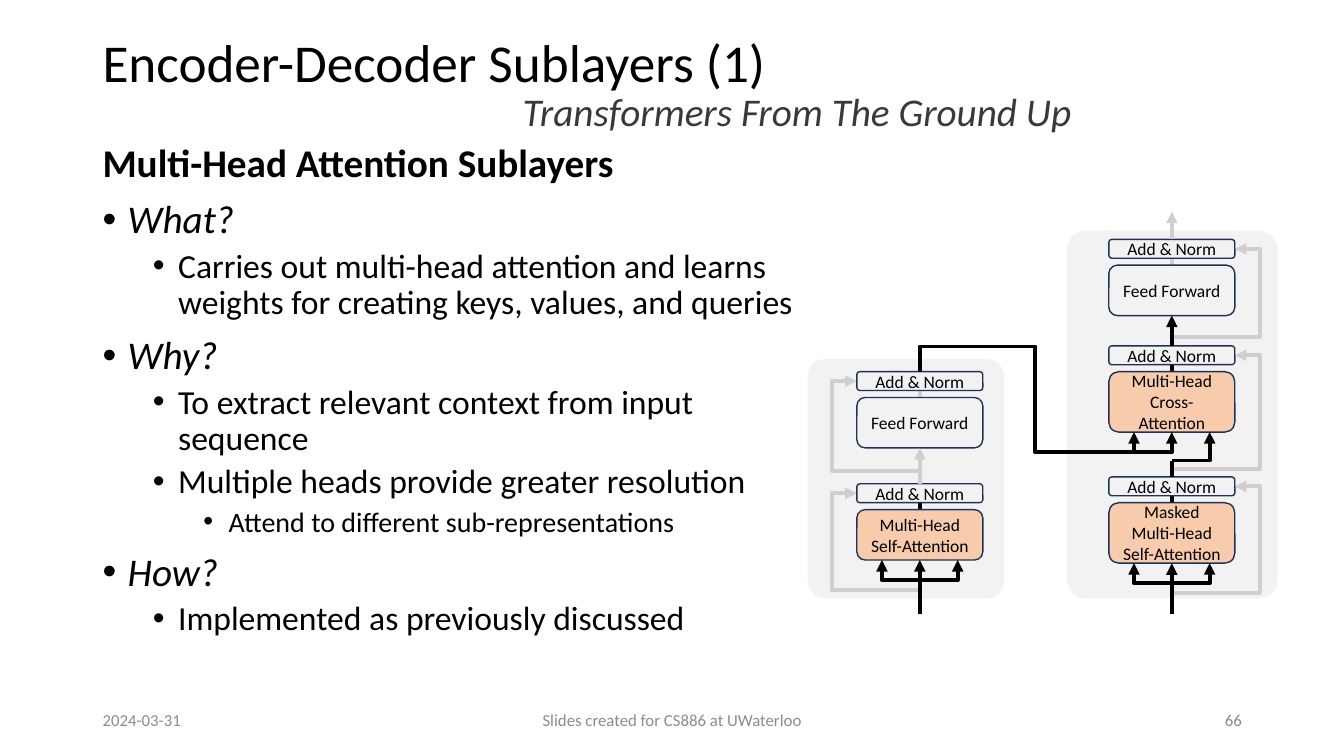
from collections import namedtuple
from dataclasses import dataclass

import pptx
import pptx.dml.color
import pptx.enum.shapes
import pptx.enum.text
import pptx.oxml
import pptx.oxml.ns
import pptx.util
from lxml import etree

# One grid cell is a sixteenth of an inch; all boxes and points count cells.
CELL = pptx.util.Inches(1 / 16)
COLS, ROWS = 213.33, 120

Box = namedtuple("Box", "x y w h")
Sublayer = namedtuple("Sublayer", "top label rows loop_drop focus")
ALIGN = pptx.enum.text.PP_ALIGN
ANCHOR = pptx.enum.text.MSO_ANCHOR
SHAPE = pptx.enum.shapes.MSO_SHAPE
CONNECTOR = pptx.enum.shapes.MSO_CONNECTOR


@dataclass(frozen=True)
class Theme:
    font: str = "Calibri"
    ink: str = "000000"
    subtitle: str = "3B3838"
    muted: str = "8C8C8C"
    panel: str = "E7E6E6"
    block: str = "F2F2F2"
    focus: str = "F8CBAD"
    border: str = "1E3256"
    faint: str = "D0CECE"
    title_size: float = 38
    level_sizes: tuple = (28, 24, 20)
    footer_size: float = 12
    block_size: float = 12.5
    flow_width: float = 2.75


T = Theme()

NORM_ROWS, BLOCK_DROP, BLOCK_COLS = 3, 4.1, 20
PRONG, BUS_DROP, LOOP_OUT = 6, 3.2, 4

ENCODER = Box(128.2, 57, 31.2, 38)
ENCODER_LAYERS = [
    Sublayer(2, "Feed Forward", 8, 3.7, False),
    Sublayer(19.8, "Multi-Head Self-Attention", 8, 4.8, True),
]
DECODER = Box(169.4, 36.6, 33.4, 58.4)
DECODER_LAYERS = [
    Sublayer(1.4, "Feed Forward", 8, 3.4, False),
    Sublayer(18.3, "Multi-Head Cross-Attention", 9.6, 5.8, True),
    Sublayer(39.1, "Masked Multi-Head Self-Attention", 9.6, 4.7, True),
]

BODY = [
    (0, "What?"),
    (1, "Carries out multi-head attention and learns weights for creating "
        "keys, values, and queries"),
    (0, "Why?"),
    (1, "To extract relevant context from input sequence"),
    (1, "Multiple heads provide greater resolution"),
    (2, "Attend to different sub-representations"),
    (0, "How?"),
    (1, "Implemented as previously discussed"),
]


def emu(*cells):
    return [round(c * CELL) for c in cells]


def rgb(color):
    return pptx.dml.color.RGBColor.from_string(color)


def add_run(p, text, size, color=T.ink, bold=False, italic=False):
    r = p.add_run()
    r.text = text
    r.font.name, r.font.size = T.font, pptx.util.Pt(size)
    r.font.bold, r.font.italic = bold, italic
    r.font.color.rgb = rgb(color)


def text_frame(s, box, anchor=ANCHOR.MIDDLE):
    tf = s.shapes.add_textbox(*emu(*box)).text_frame
    tf.word_wrap, tf.vertical_anchor = True, anchor
    return tf


def text_line(s, box, text, size, color, align=ALIGN.LEFT, italic=False):
    p = text_frame(s, box).paragraphs[0]
    p.alignment, p.line_spacing = align, 0.9
    add_run(p, text, size, color, italic=italic)


def add_body(s, box):
    tf = text_frame(s, box, ANCHOR.TOP)
    p = tf.paragraphs[0]
    p.line_spacing = 0.9
    add_run(p, "Multi-Head Attention Sublayers", T.level_sizes[0], bold=True)
    for level, text in BODY:
        p = tf.add_paragraph()
        pPr = p._p.get_or_add_pPr()
        pPr.set("marL", str(pptx.util.Inches(0.25 + 0.5 * level)))
        pPr.set("indent", str(pptx.util.Inches(-0.25)))
        font = etree.SubElement(pPr, pptx.oxml.ns.qn("a:buFont"))
        font.set("typeface", "Arial")
        etree.SubElement(pPr, pptx.oxml.ns.qn("a:buChar")).set("char", "•")
        p.level, p.line_spacing = level, 0.9
        p.space_before = pptx.util.Pt(5 if level else 10)
        add_run(p, text, T.level_sizes[level], italic=level == 0)


def rounded(s, box, fill):
    sp = s.shapes.add_shape(SHAPE.ROUNDED_RECTANGLE, *emu(*box))
    sp.shadow.inherit = False
    sp.fill.solid()
    sp.fill.fore_color.rgb = rgb(fill)
    return sp


def add_panel(s, box):
    sp = rounded(s, box, T.panel)
    sp.adjustments[0] = 0.088
    sp.line.fill.background()
    color = sp._element.spPr.find(".//" + pptx.oxml.ns.qn("a:srgbClr"))
    etree.SubElement(color, pptx.oxml.ns.qn("a:alpha")).set("val", "50000")


def add_block(s, box, label, fill=T.block):
    sp = rounded(s, box, fill)
    sp.line.color.rgb, sp.line.width = rgb(T.border), pptx.util.Pt(1)
    tf = sp.text_frame
    tf.word_wrap, tf.vertical_anchor = True, ANCHOR.MIDDLE
    tf.paragraphs[0].alignment = ALIGN.CENTER
    add_run(tf.paragraphs[0], label, T.block_size)


def flow(s, start, end, color=T.ink, arrow=None, bends=None):
    """Connect two points; arrow is headEnd or tailEnd, bends are shares of the span."""
    kind = CONNECTOR.ELBOW if bends else CONNECTOR.STRAIGHT
    c = s.shapes.add_connector(kind, *emu(*start, *end))
    c.line.color.rgb, c.line.width = rgb(color), pptx.util.Pt(T.flow_width)
    spPr = c._element.spPr
    if bends:
        geom = spPr.find(pptx.oxml.ns.qn("a:prstGeom"))
        geom.set("prst", f"bentConnector{len(bends) + 2}")
        guides = geom.find(pptx.oxml.ns.qn("a:avLst"))
        for i, share in enumerate(bends, 1):
            gd = etree.SubElement(guides, pptx.oxml.ns.qn("a:gd"))
            gd.set("name", f"adj{i}")
            gd.set("fmla", f"val {round(share * 100000)}")
    if arrow:
        end_mark = etree.SubElement(c.line._get_or_add_ln(), pptx.oxml.ns.qn("a:" + arrow))
        end_mark.set("type", "triangle")
    etree.SubElement(spPr, pptx.oxml.ns.qn("a:effectLst"))


def add_stack(s, panel, spine, layers, side):
    """Draw one panel of sublayers; side is -1 or 1 for residual loops left or right."""
    add_panel(s, panel)
    edge, left = spine + side * BLOCK_COLS / 2, spine - BLOCK_COLS / 2
    reach = -LOOP_OUT / (BLOCK_COLS / 2)
    for layer in layers:
        top = panel.y + layer.top
        block = Box(left, top + BLOCK_DROP, BLOCK_COLS, layer.rows)
        loop_y = block.y + block.h + layer.loop_drop
        flow(s, (edge, top + NORM_ROWS / 2), (spine, loop_y), T.faint, "headEnd", (reach, 1))
        flow(s, (spine, top + NORM_ROWS), (spine, block.y), T.ink if layer.focus else T.faint)
        add_block(s, Box(left, top, BLOCK_COLS, NORM_ROWS), "Add & Norm")
        add_block(s, block, layer.label, T.focus if layer.focus else T.block)


def bottom(panel, layer):
    return panel.y + layer.top + BLOCK_DROP + layer.rows


def prong(s, start, x, y):
    flow(s, start, (x, y), arrow="tailEnd", bends=(1,))


def add_input(s, panel, spine, layer):
    """Feed keys, values and queries into the lowest block."""
    y = bottom(panel, layer)
    for dx in (-PRONG, PRONG):
        prong(s, (spine, y + BUS_DROP), spine + dx, y)
    flow(s, (spine, panel.y + panel.h + 2.4), (spine, y), arrow="tailEnd")


def add_diagram(s, encoder, decoder):
    enc, dec = encoder.x + 17.8, decoder.x + 16.6
    add_stack(s, encoder, enc, ENCODER_LAYERS, -1)
    add_stack(s, decoder, dec, DECODER_LAYERS, 1)
    add_input(s, encoder, enc, ENCODER_LAYERS[-1])
    add_input(s, decoder, dec, DECODER_LAYERS[-1])

    enc_top, enc_mid = [encoder.y + layer.top for layer in ENCODER_LAYERS]
    dec_top, dec_mid, dec_low = [decoder.y + layer.top for layer in DECODER_LAYERS]
    flow(s, (enc, enc_mid), (enc, bottom(encoder, ENCODER_LAYERS[0])), T.faint, "tailEnd")
    flow(s, (dec, dec_mid), (dec, bottom(decoder, DECODER_LAYERS[0])), arrow="tailEnd")
    flow(s, (dec, dec_top), (dec, dec_top - 4.4), T.faint, "tailEnd")

    cross = bottom(decoder, DECODER_LAYERS[1])
    bus, query = cross + BUS_DROP, cross + 4.5
    flow(s, (dec, dec_low), (dec, query))
    prong(s, (dec, query), dec + PRONG, cross)
    for x in (dec - PRONG, dec):
        prong(s, (x - 9.5, bus), x, cross)
    joint, turn, crest = dec - 13.5, enc + 18.3, enc_top - 4
    shares = (turn - joint) / (enc - joint), (crest - bus) / (enc_top - bus)
    flow(s, (joint, bus), (enc, enc_top), bends=shares)


def add_footer(s, box):
    text_line(s, box._replace(w=48), "2024-03-31", T.footer_size, T.muted)
    text_line(s, Box(box.x + 56, box.y, 72, box.h), "Slides created for CS886 at UWaterloo",
              T.footer_size, T.muted, ALIGN.CENTER)
    text_line(s, Box(box.x + box.w - 48, box.y, 48, box.h), "66",
              T.footer_size, T.muted, ALIGN.RIGHT)


def main():
    prs = pptx.Presentation()
    prs.slide_width, prs.slide_height = emu(COLS, ROWS)
    s = prs.slides.add_slide(prs.slide_layouts[6])
    text_line(s, Box(14.7, 2.4, 184, 15.8), "Encoder-Decoder Sublayers (1)", T.title_size, T.ink)
    text_line(s, Box(15.8, 12.5, 155.8, 11), "Transformers From The Ground Up",
              T.level_sizes[0], T.subtitle, ALIGN.RIGHT, italic=True)
    add_body(s, Box(14.7, 22, 113.4, 86))
    add_diagram(s, ENCODER, DECODER)
    add_footer(s, Box(14.7, 111.2, 184, 6.4))
    prs.save("out.pptx")


if __name__ == "__main__":
    main()
